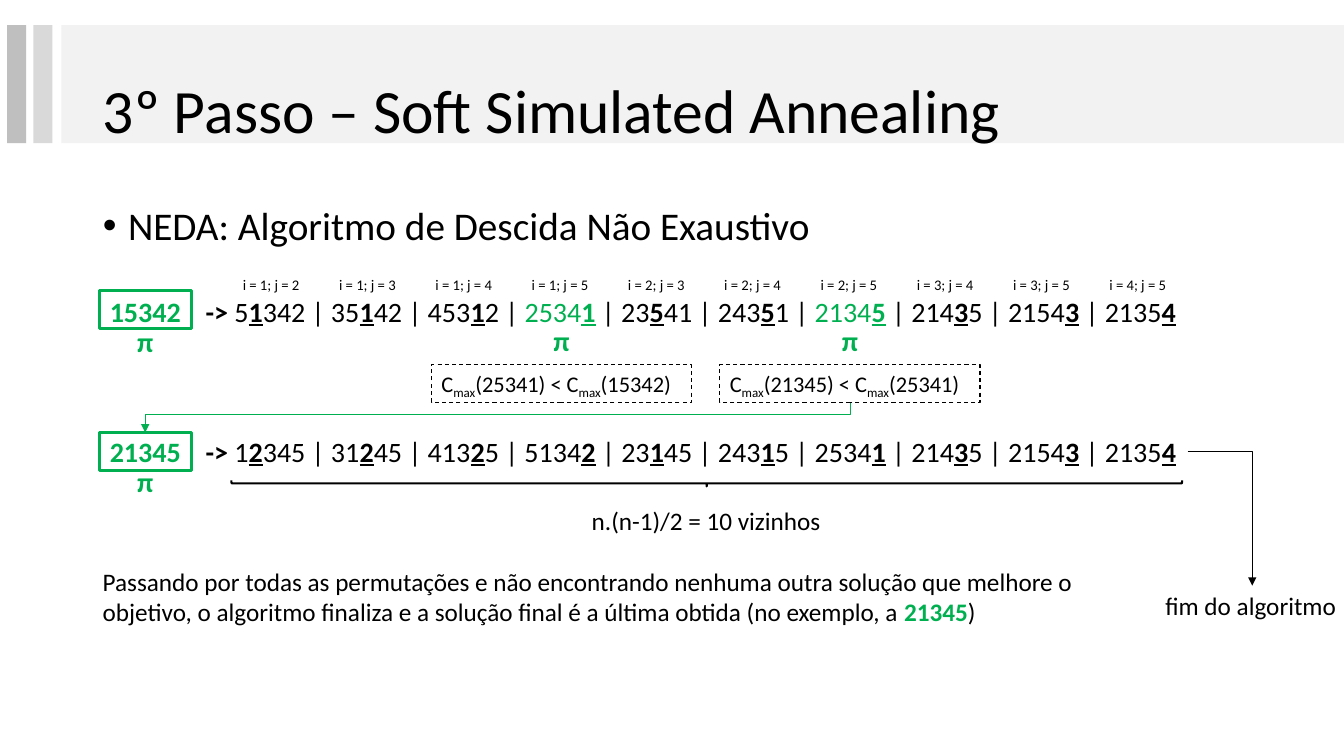
from dataclasses import dataclass
from itertools import combinations

from lxml import etree
from pptx import Presentation
from pptx.dml.color import RGBColor
from pptx.enum.dml import MSO_LINE
from pptx.enum.shapes import MSO_CONNECTOR, MSO_SHAPE
from pptx.enum.text import MSO_ANCHOR, MSO_AUTO_SIZE, PP_ALIGN
from pptx.oxml.ns import qn
from pptx.util import Inches, Pt

LEFT, CENTER = PP_ALIGN.LEFT, PP_ALIGN.CENTER
MIDDLE, TOP = MSO_ANCHOR.MIDDLE, MSO_ANCHOR.TOP
GROW = MSO_AUTO_SIZE.SHAPE_TO_FIT_TEXT
ELBOW = MSO_CONNECTOR.ELBOW
RECTANGLE, LEFT_BRACE = MSO_SHAPE.RECTANGLE, MSO_SHAPE.LEFT_BRACE
DASH = MSO_LINE.DASH


@dataclass(frozen=True)
class Theme:
    """Font, colours and type sizes of the slide."""
    font: str = "Calibri"
    ink: str = "000000"
    accent: str = "00B050"
    bars: tuple = ("F2F2F2", "D9D9D9", "BFBFBF")
    title: float = 44
    bullet: float = 28
    sequence: float = 20
    text: float = 18
    condition: float = 16
    label: float = 10.5


THEME = Theme()
PITCH = 0.955
FIRST_ROW = [("51342", 1), ("35142", 2), ("45312", 3), ("25341", 4), ("23541", 2),
             ("24351", 3), ("21345", 4), ("21435", 3), ("21543", 4), ("21354", 4)]
SECOND_ROW = [("12345", 1), ("31245", 2), ("41325", 3), ("51342", 4), ("23145", 2),
              ("24315", 3), ("25341", 4), ("21435", 3), ("21543", 4), ("21354", 4)]


def add_run(paragraph, text, size, color=THEME.ink, bold=False, underline=False, baseline=0):
    """Append one formatted run to a paragraph."""
    run = paragraph.add_run()
    run.text = text
    run.font.name = THEME.font
    run.font.size = Pt(size)
    run.font.bold = bold
    run.font.underline = underline
    run.font.color.rgb = RGBColor.from_string(color)
    if baseline:
        run._r.get_or_add_rPr().set("baseline", str(baseline))


def add_text(slide, left, top, width, height, wrap=True, alignment=LEFT):
    """Add a text box and return it with its first paragraph."""
    box = slide.shapes.add_textbox(Inches(left), Inches(top), Inches(width), Inches(height))
    box.text_frame.word_wrap = wrap
    box.text_frame.auto_size = GROW
    paragraph = box.text_frame.paragraphs[0]
    paragraph.alignment = alignment
    return box, paragraph


def add_outline(slide, kind, left, top, width, height, color, weight):
    """Add an unfilled preset shape with a coloured outline."""
    shape = slide.shapes.add_shape(kind, Inches(left), Inches(top), Inches(width), Inches(height))
    shape.shadow.inherit = False
    shape.fill.background()
    shape.line.color.rgb = RGBColor.from_string(color)
    shape.line.width = Pt(weight)
    return shape


def add_elbow(slide, begin, end, color, preset, turned=False, bend=None):
    """Add a thin elbow arrow, drawn a quarter turn round if asked."""
    (x1, y1), (x2, y2) = begin, end
    if turned:
        middle_x, middle_y = (x1 + x2) / 2, (y1 + y2) / 2
        half_width, half_height = abs(y2 - y1) / 2, abs(x2 - x1) / 2
        x1, x2 = middle_x - half_width, middle_x + half_width
        y1, y2 = middle_y - half_height, middle_y + half_height
    connector = slide.shapes.add_connector(ELBOW, Inches(x1), Inches(y1), Inches(x2), Inches(y2))
    connector.line.color.rgb = RGBColor.from_string(color)
    connector.line.width = Pt(0.5)
    properties = connector._element.spPr
    etree.SubElement(properties.find(qn("a:ln")), qn("a:tailEnd"), type="triangle")
    if turned:
        properties.find(qn("a:xfrm")).set("rot", "5400000")
    geometry = properties.find(qn("a:prstGeom"))
    geometry.set("prst", preset)
    if bend is not None:
        etree.SubElement(geometry.find(qn("a:avLst")), qn("a:gd"), name="adj1", fmla=f"val {bend}")
    etree.SubElement(properties, qn("a:effectLst"))


def add_header_bars(slide, left, top, width, height):
    """Place the wide band and two narrow bars behind the title."""
    group = slide.shapes.add_group_shape()
    columns = ((0.54, width - 0.54), (0.26, 0.19), (0, 0.19))
    for (offset, bar_width), color in zip(columns, THEME.bars):
        bar = group.shapes.add_shape(RECTANGLE, Inches(left + offset), Inches(top),
                                     Inches(bar_width), Inches(height))
        bar.shadow.inherit = False
        bar.fill.solid()
        bar.fill.fore_color.rgb = RGBColor.from_string(color)
        bar.line.fill.background()
    slide.shapes._spTree.insert(2, group._element)


def fill_placeholder(placeholder, box, text, size, anchor):
    """Move a placeholder into its box and write its one paragraph."""
    placeholder.left, placeholder.top, placeholder.width, placeholder.height = map(Inches, box)
    placeholder.text_frame.vertical_anchor = anchor
    paragraph = placeholder.text_frame.paragraphs[0]
    paragraph.alignment = LEFT
    paragraph.line_spacing = 0.9
    add_run(paragraph, text, size)
    return paragraph


def add_heading(slide):
    """Fill the title and the bulleted body."""
    fill_placeholder(slide.shapes.title, (0.92, 0.4, 11.5, 1.45),
                     "3º Passo – Soft Simulated Annealing", THEME.title, MIDDLE)
    bullet = fill_placeholder(slide.placeholders[1], (0.92, 2, 11.76, 5.41),
                              "NEDA: Algoritmo de Descida Não Exaustivo", THEME.bullet, TOP)
    bullet.space_before = Pt(10)
    properties = bullet._p.get_or_add_pPr()
    properties.set("marL", str(Inches(0.25)))
    properties.set("indent", str(Inches(-0.25)))
    etree.SubElement(properties, qn("a:buFont"), typeface="Arial")
    etree.SubElement(properties, qn("a:buChar"), char="•")


def add_pi(slide, left, top):
    """Mark a current solution with a green π."""
    paragraph = add_text(slide, left, top, 0.48, 0.44, alignment=CENTER)[1]
    add_run(paragraph, "π", THEME.sequence, THEME.accent, bold=True)


def add_sequence(slide, left, top, start, neighbours, improved, frame_offset):
    """Write a framed solution followed by its neighbours with the swapped digit marked."""
    paragraph = add_text(slide, left, top, 10.79, 0.44)[1]
    stops = etree.SubElement(paragraph._p.get_or_add_pPr(), qn("a:tabLst"))
    etree.SubElement(stops, qn("a:tab"), pos=str(Inches(0.95)), algn="l")
    size = THEME.sequence
    add_run(paragraph, start, size, THEME.accent, bold=True)
    add_run(paragraph, "\t-> ", size, bold=True)
    for index, (digits, marked) in enumerate(neighbours):
        color = THEME.accent if digits in improved else THEME.ink
        if index:
            add_run(paragraph, " | ", size)
        add_run(paragraph, digits[:marked], size, color)
        add_run(paragraph, digits[marked], size, color, bold=True, underline=True)
        if digits[marked + 1:]:
            add_run(paragraph, digits[marked + 1:], size, color)
    add_outline(slide, RECTANGLE, left, top + frame_offset, 0.91, 0.38, THEME.accent, 2.25)
    add_pi(slide, left + 0.21, top + 0.3)


def add_swap_labels(slide, left, top):
    """Label each neighbour with the pair of positions swapped."""
    for index, (i, j) in enumerate(combinations(range(1, 6), 2)):
        paragraph = add_text(slide, left + PITCH * index, top, 0.8, 0.29, wrap=False)[1]
        add_run(paragraph, f"i = {i}; j = {j}", THEME.label)


def add_condition(slide, left, top, better, worse):
    """Add a dashed box that compares two solutions."""
    box, paragraph = add_text(slide, left, top, 2.58, 0.37, wrap=False)
    box.line.color.rgb = RGBColor.from_string(THEME.ink)
    box.line.width = Pt(0.75)
    box.line.dash_style = DASH
    for text, baseline in (("C", 0), ("max", -25000), (f"({better}) < C", 0),
                           ("max", -25000), (f"({worse})", 0)):
        add_run(paragraph, text, THEME.condition, baseline=baseline)


def add_conclusion(slide, left, top):
    """Add the neighbour count, the closing remark and the end of the algorithm."""
    brace = add_outline(slide, LEFT_BRACE, left + 6.06, top - 4.88, 0.06, 9.43, THEME.ink, 1.5)
    brace.rotation = 270
    count = add_text(slide, left + 4.85, top, 2.48, 0.4)[1]
    add_run(count, "n.(n-1)/2 = 10 vizinhos", THEME.text)
    remark = add_text(slide, left, top + 0.61, 10.1, 0.71)[1]
    add_run(remark, "Passando por todas as permutações e não encontrando nenhuma outra solução "
                    "que melhore o objetivo, o algoritmo finaliza e a solução final é a última "
                    "obtida (no exemplo, a ", THEME.text)
    add_run(remark, "21345", THEME.text, THEME.accent, bold=True)
    add_run(remark, ")", THEME.text)
    ending = add_text(slide, left + 10.54, top + 0.85, 1.91, 0.4, wrap=False)[1]
    add_run(ending, "fim do algoritmo", THEME.text)


def main():
    """Build and save the slide."""
    presentation = Presentation()
    presentation.slide_width, presentation.slide_height = Inches(13.33), Inches(7.5)
    slide = presentation.slides.add_slide(presentation.slide_layouts[1])
    add_header_bars(slide, 0.07, 0.25, 13.26, 1.17)
    add_heading(slide)
    add_sequence(slide, 0.99, 2.87, "15342", FIRST_ROW, ("25341", "21345"), 0.01)
    add_swap_labels(slide, 2.31, 2.69)
    for left, better, worse in ((4.28, "25341", "15342"), (7.14, "21345", "25341")):
        add_pi(slide, left + 1.05, 3.16)
        add_condition(slide, left, 3.62, better, worse)
    add_sequence(slide, 0.99, 4.26, "21345", SECOND_ROW, (), 0.03)
    add_elbow(slide, (8.43, 4), (1.44, 4.29), THEME.accent, "bentConnector3", True, 38500)
    add_elbow(slide, (11.78, 4.48), (12.42, 5.81), THEME.ink, "bentConnector2")
    add_conclusion(slide, 0.92, 4.96)
    presentation.save("out.pptx")


if __name__ == "__main__":
    main()
